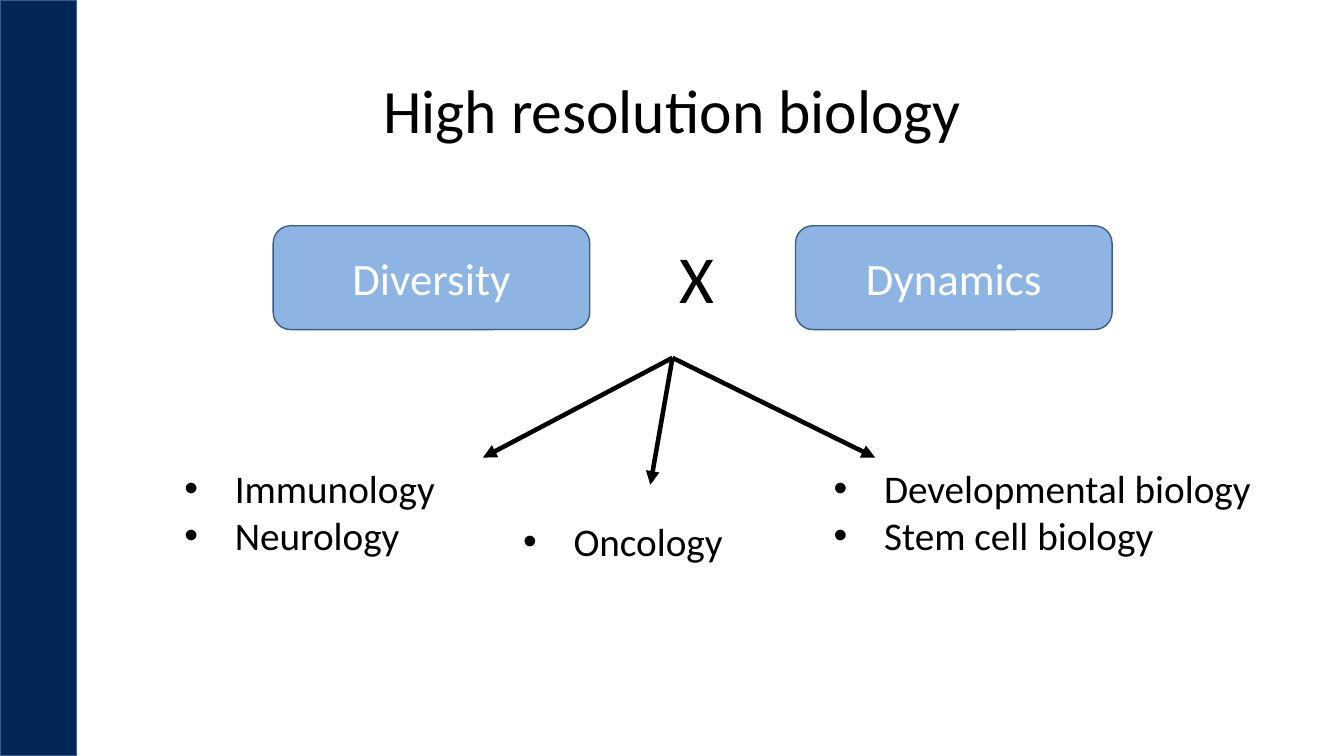
from dataclasses import dataclass
from lxml import etree
from pptx import Presentation
from pptx.dml.color import RGBColor
from pptx.enum.shapes import MSO_CONNECTOR, MSO_SHAPE
from pptx.enum.text import MSO_ANCHOR, PP_ALIGN
from pptx.oxml.ns import qn
from pptx.util import Inches, Pt

# Content
TITLE = "High resolution biology"
THEMES = ["Diversity", "Dynamics"]
CROSS = "X"
# Fields: left, top, width, height, arrow tip, bullet items
FIELDS = [
    (8.17, 4.56, 4.48, 1.04, (8.68, 4.54), ["Developmental biology", "Stem cell biology"]),
    (1.73, 4.56, 4.48, 1.04, (4.79, 4.54), ["Immunology", "Neurology"]),
    (5.09, 5.08, 2.47, 0.57, (6.45, 4.81), ["Oncology"]),
]
HUB = (6.67, 3.55)


@dataclass(frozen=True)
class Theme:
    font: str = "Calibri"
    navy: str = "002755"
    sky: str = "8EB4E3"
    edge: str = "3A5F8C"
    ink: str = "000000"
    white: str = "FFFFFF"
    title: int = 44
    label: int = 32
    cross: int = 48
    item: int = 28


T = Theme()


def color(code):
    return RGBColor.from_string(code)


def box(*sides):
    return [Inches(side) for side in sides]


def write(para, text, size, ink=T.ink):
    run = para.add_run()
    run.text = text
    run.font.name = T.font
    run.font.size = Pt(size)
    run.font.color.rgb = color(ink)


def block(slide, kind, place, fill):
    shape = slide.shapes.add_shape(kind, *box(*place))
    shape.shadow.inherit = False
    shape.fill.solid()
    shape.fill.fore_color.rgb = color(fill)
    shape.line.color.rgb = color(T.edge)
    shape.line.width = Pt(1)
    return shape


def textbox(slide, place):
    frame = slide.shapes.add_textbox(*box(*place)).text_frame
    frame.word_wrap = True
    return frame


def bullet(para):
    props = para._p.get_or_add_pPr()
    props.set("marL", str(Inches(0.5)))
    props.set("indent", str(-Inches(0.5)))
    etree.SubElement(props, qn("a:buFont"), typeface="Arial")
    etree.SubElement(props, qn("a:buChar"), char="•")


def arrow(slide, start, end):
    link = slide.shapes.add_connector(MSO_CONNECTOR.STRAIGHT, *box(*start, *end))
    link.line.color.rgb = color(T.ink)
    link.line.width = Pt(3.25)
    etree.SubElement(link.line._get_or_add_ln(), qn("a:tailEnd"), type="triangle")
    etree.SubElement(link._element.spPr, qn("a:effectLst"))


def main():
    deck = Presentation()
    deck.slide_width, deck.slide_height = box(13.33, 7.5)
    slide = deck.slides.add_slide(deck.slide_layouts[5])

    # Side band
    block(slide, MSO_SHAPE.RECTANGLE, (0, 0, 0.76, 7.5), T.navy)

    # Title
    title = slide.shapes.title
    title.left, title.top, title.width, title.height = box(0.92, 0.4, 11.5, 1.45)
    title.text_frame.vertical_anchor = MSO_ANCHOR.MIDDLE
    para = title.text_frame.paragraphs[0]
    para.alignment = PP_ALIGN.CENTER
    para.line_spacing = 0.9
    write(para, TITLE, T.title)

    # Two themes and the cross between them
    for i, name in enumerate(THEMES):
        place = (2.71 + 5.18 * i, 2.24, 3.14, 1.03)
        frame = block(slide, MSO_SHAPE.ROUNDED_RECTANGLE, place, T.sky).text_frame
        frame.vertical_anchor = MSO_ANCHOR.MIDDLE
        para = frame.paragraphs[0]
        para.alignment = PP_ALIGN.CENTER
        write(para, name, T.label, T.white)
    frame = textbox(slide, (6.64, 2.3, 0.46, 0.91))
    write(frame.paragraphs[0], CROSS, T.cross)

    # Arrows to the fields and their lists
    for *place, tip, items in FIELDS:
        arrow(slide, HUB, tip)
        frame = textbox(slide, place)
        for i, item in enumerate(items):
            para = frame.add_paragraph() if i else frame.paragraphs[0]
            bullet(para)
            write(para, item, T.item)

    deck.save("out.pptx")


if __name__ == "__main__":
    main()
